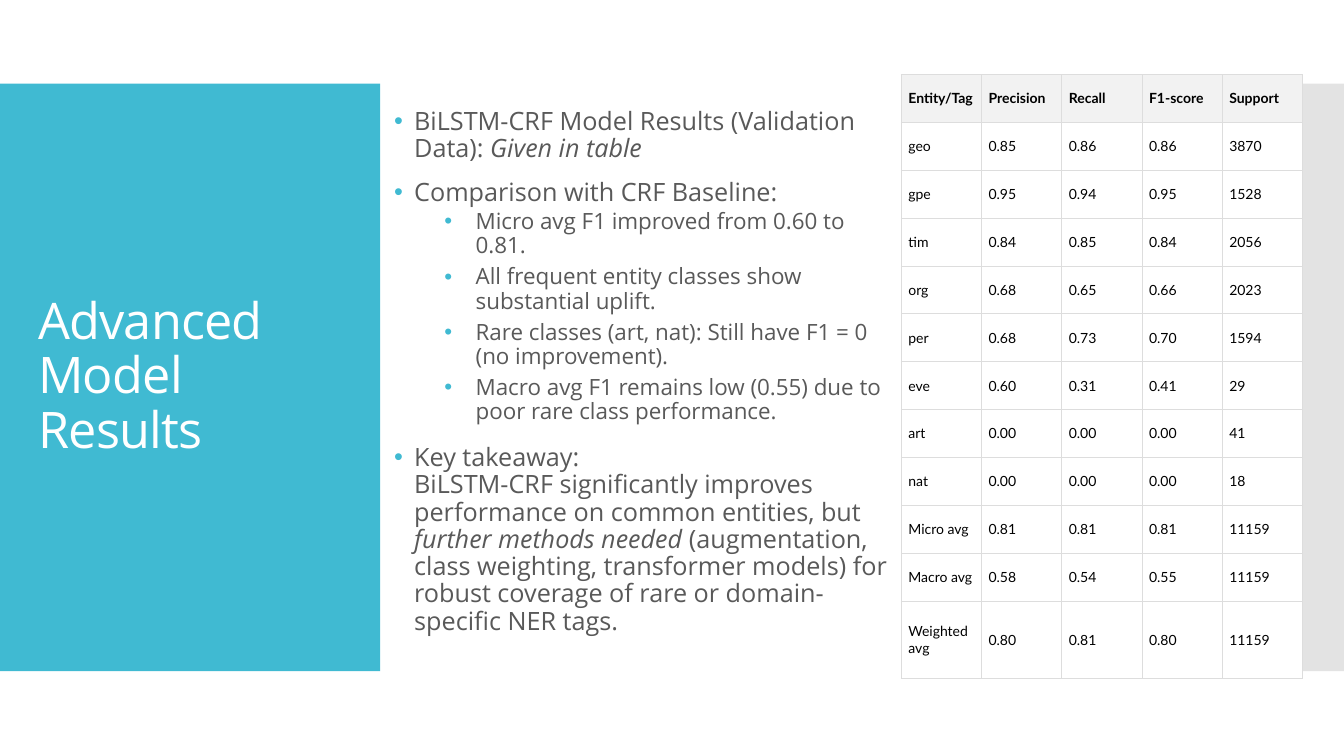
import pptx
import pptx.util
import pptx.dml.color
import pptx.enum.shapes
import pptx.enum.text
import pptx.oxml
import pptx.oxml.ns
from pptx.util import Inches

ANCHOR_MIDDLE = pptx.enum.text.MSO_ANCHOR.MIDDLE


def color(hex_value):
    return pptx.dml.color.RGBColor.from_string(hex_value)


def add_xml(parent, xml):
    declaration = pptx.oxml.ns.nsdecls("a")
    element = pptx.oxml.parse_xml(xml.replace(">", f" {declaration}>", 1))
    parent.append(element)


def set_values(target, values):
    for name, value in values.items():
        setattr(target, name, value)


class SlideBuilder:
    accent, band, text, white = "40BAD2", "C8C8C8", "595959", "FFFFFF"
    header, border, black = "F2F2F2", "DDDDDD", "000000"
    font, table_font = "Open Sans", "Lato"

    def __init__(self, slide):
        self.slide = slide

    def panel(self, left, top, width, height, fill, opacity=100):
        shape = self.slide.shapes.add_shape(
            pptx.enum.shapes.MSO_SHAPE.RECTANGLE,
            Inches(left), Inches(top), Inches(width), Inches(height))
        shape.shadow.inherit = False
        shape.line.fill.background()
        shape.fill.solid()
        shape.fill.fore_color.rgb = color(fill)
        if opacity < 100:
            solid = shape.element.spPr.find(pptx.oxml.ns.qn("a:solidFill"))
            add_xml(solid[0], f'<a:alpha val="{opacity * 1000}"></a:alpha>')

    def run(self, paragraph, text, size, fill, font, **styles):
        run = paragraph.add_run()
        run.text = text
        set_values(run.font, {"size": pptx.util.Pt(size), "name": font, **styles})
        run.font.color.rgb = color(fill)
        return run

    def frame(self, shape, left, top, width, height):
        set_values(shape, {"left": Inches(left), "top": Inches(top),
                           "width": Inches(width), "height": Inches(height)})
        set_values(shape.text_frame, {
            "word_wrap": True, "vertical_anchor": ANCHOR_MIDDLE,
            "auto_size": pptx.enum.text.MSO_AUTO_SIZE.NONE})
        return shape.text_frame

    def title(self, text, *box):
        title = self.slide.shapes.title
        title.element.getparent().append(title.element)  # in front of the panel
        paragraph = self.frame(title, *box).paragraphs[0]
        set_values(paragraph, {"alignment": pptx.enum.text.PP_ALIGN.LEFT,
                               "line_spacing": 0.9})
        run = self.run(paragraph, text, 36, self.white, self.font)
        run.font._element.set("spc", "-60")

    def bullets(self, items, *box):
        shape = self.slide.shapes.add_textbox(*map(Inches, box))
        frame = self.frame(shape, *box)
        for index, (level, pieces) in enumerate(items):
            paragraph = frame.add_paragraph() if index else frame.paragraphs[0]
            size, before, after, margin, indent = (
                (16, 2.5, 2.5, 0.81, 0.31) if level else (18, 12, 0, 0.2, 0.2))
            set_values(paragraph, {
                "level": level, "line_spacing": 0.9,
                "space_before": pptx.util.Pt(before),
                "space_after": pptx.util.Pt(after)})
            properties = paragraph._p.get_or_add_pPr()
            properties.set("marL", str(Inches(margin)))
            properties.set("indent", str(-Inches(indent)))
            add_xml(properties, f'<a:buClr><a:srgbClr val="{self.accent}"/></a:buClr>')
            add_xml(properties, '<a:buFont typeface="Arial"></a:buFont>')
            add_xml(properties, '<a:buChar char="•"></a:buChar>')
            for piece, italic in pieces:
                for number, line in enumerate(piece.split("\n")):
                    if number:
                        paragraph.add_line_break()
                    self.run(paragraph, line, size, self.text, self.font, italic=italic)

    def table(self, rows, left, top, column_width, row_heights):
        width = column_width * len(rows[0])
        table = self.slide.shapes.add_table(
            len(rows), len(rows[0]), Inches(left), Inches(top),
            Inches(width), Inches(sum(row_heights))).table
        table.horz_banding = False
        for column in table.columns:
            column.width = Inches(column_width)
        for row_index, (row, height) in enumerate(zip(rows, row_heights)):
            table.rows[row_index].height = Inches(height)
            for column_index, text in enumerate(row):
                self.cell(table.cell(row_index, column_index), text, row_index == 0)

    def cell(self, cell, text, is_header):
        margins = ("margin_left", "margin_right", "margin_top", "margin_bottom")
        set_values(cell, dict.fromkeys(margins, Inches(0.07)))
        cell.vertical_anchor = ANCHOR_MIDDLE
        self.run(cell.text_frame.paragraphs[0], text, 10, self.black,
                 self.table_font, bold=is_header)
        properties = cell._tc.get_or_add_tcPr()
        for side in ("lnL", "lnR", "lnT", "lnB"):
            add_xml(properties, f'<a:{side} w="9525"><a:solidFill>'
                    f'<a:srgbClr val="{self.border}"/></a:solidFill></a:{side}>')
        cell.fill.solid()
        cell.fill.fore_color.rgb = color(self.header if is_header else self.white)


def main():
    presentation = pptx.Presentation()
    presentation.slide_width = Inches(13.33)
    presentation.slide_height = Inches(7.5)
    builder = SlideBuilder(presentation.slides.add_slide(presentation.slide_layouts[5]))

    # Side panels and title
    builder.panel(0, 0.83, 3.77, 5.83, builder.accent)
    builder.panel(12.92, 0.83, 0.41, 5.83, builder.band, opacity=50)
    builder.title("Advanced Model Results", 0.28, 1.23, 3.22, 5.03)

    # Findings: level, then pieces of text with their italic flag
    builder.bullets([
        (0, [("BiLSTM-CRF Model Results (Validation Data): ", False),
             ("Given in table", True)]),
        (0, [("Comparison with CRF Baseline:", False)]),
        (1, [("Micro avg F1 improved from 0.60 to 0.81.", False)]),
        (1, [("All frequent entity classes show substantial uplift.", False)]),
        (1, [("Rare classes (art, nat): Still have F1 = 0 (no improvement).", False)]),
        (1, [("Macro avg F1 remains low (0.55) due to poor rare class performance.",
              False)]),
        (0, [("Key takeaway:\nBiLSTM-CRF significantly improves performance on "
              "common entities, but ", False),
             ("further methods needed", True),
             (" (augmentation, class weighting, transformer models) for robust "
              "coverage of rare or domain-specific NER tags.", False)]),
    ], 3.81, 0.62, 5.13, 6.14)

    # Scores per entity
    scores = [
        ("Entity/Tag", "Precision", "Recall", "F1-score", "Support"),
        ("geo", "0.85", "0.86", "0.86", "3870"),
        ("gpe", "0.95", "0.94", "0.95", "1528"),
        ("tim", "0.84", "0.85", "0.84", "2056"),
        ("org", "0.68", "0.65", "0.66", "2023"),
        ("per", "0.68", "0.73", "0.70", "1594"),
        ("eve", "0.60", "0.31", "0.41", "29"),
        ("art", "0.00", "0.00", "0.00", "41"),
        ("nat", "0.00", "0.00", "0.00", "18"),
        ("Micro avg", "0.81", "0.81", "0.81", "11159"),
        ("Macro avg", "0.58", "0.54", "0.55", "11159"),
        ("Weighted avg", "0.80", "0.81", "0.80", "11159"),
    ]
    row_heights = [0.475] * (len(scores) - 1) + [0.77]
    builder.table(scores, 8.94, 0.74, 3.98 / 5, row_heights)

    presentation.save("out.pptx")


if __name__ == "__main__":
    main()
